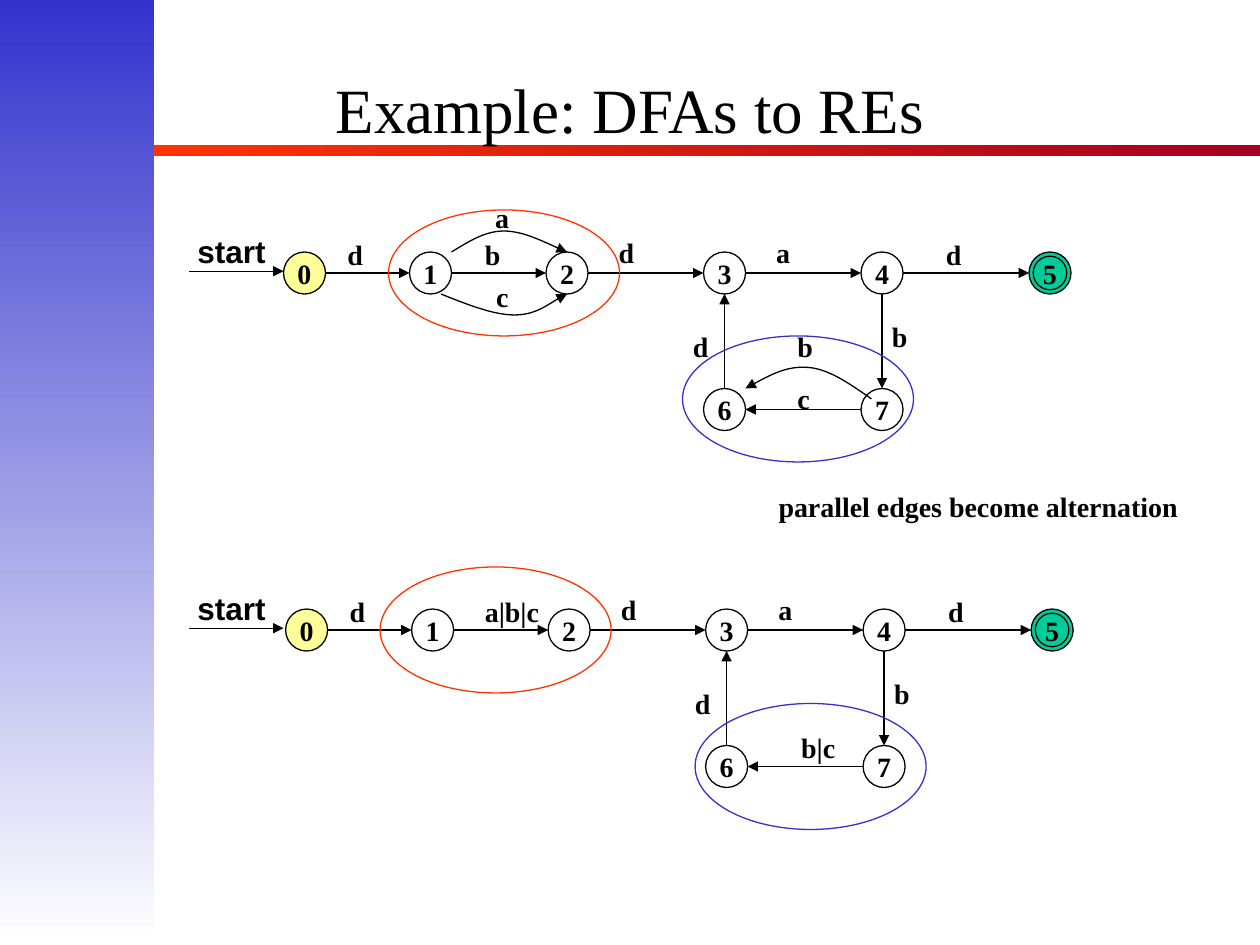
from math import hypot

from lxml.etree import SubElement
from pptx import Presentation
from pptx.dml.color import RGBColor
from pptx.enum.shapes import MSO_CONNECTOR as Connector, MSO_SHAPE as Preset
from pptx.enum.text import MSO_ANCHOR as Anchor, MSO_AUTO_SIZE as AutoSize, PP_ALIGN as Align
from pptx.oxml.ns import qn
from pptx.util import Pt

BLACK = RGBColor(0x00, 0x00, 0x00)
WHITE = RGBColor(0xFF, 0xFF, 0xFF)
RED = RGBColor(0xFF, 0x33, 0x00)
DARK_RED = RGBColor(0xA5, 0x00, 0x21)
BLUE = RGBColor(0x33, 0x33, 0xCC)
YELLOW = RGBColor(0xFF, 0xFF, 0x99)
GREEN = RGBColor(0x00, 0xCC, 0x99)

SERIF = "Times New Roman"
RADIUS = 12
RING_RADIUS = 9.6
STATES = {
    "0": (174, 156), "1": (246, 156), "2": (324, 156), "3": (414, 156),
    "4": (504, 156), "5": (600, 156), "6": (414, 234), "7": (504, 234),
}
STATE_FILLS = {"0": YELLOW, "5": GREEN}
EDGES = ["01", "12", "23", "34", "45", "63", "47", "76"]
EDGE_LABELS = [
    ("d", 191.5, 132), ("d", 346.5, 131), ("a", 436.5, 131),
    ("d", 533.5, 132), ("d", 388.8, 185), ("b", 502.6, 178.8),
]
PARALLEL_LABELS = [
    ("a", 275.8, 111), ("b", 270, 132), ("c", 276.5, 156.2),
    ("b", 448.6, 185), ("c", 448.6, 214.6),
]
MERGED_LABELS = [("a|b|c", 270, 336.2), ("b|c", 450.7, 414)]
LABEL_WIDTHS = {
    "a": 22.4, "b": 23.3, "c": 21.5, "d": 23.3, "a|b|c": 45.4, "b|c": 34,
    "start": 53.3, "parallel edges become alternation": 242.6,
}
PARALLEL_CURVES = [
    [(258, 144), (268, 138), (277, 132), (288, 132), (299, 132), (318, 141.6), (324, 144)],
    [(252, 168), (267, 174), (282, 180), (294, 180), (306, 180), (319, 170), (324, 168)],
    [(498, 228), (486, 219.6), (474, 211), (462, 210), (450, 209), (438, 215.3), (426, 222)],
]


def add_band(slide, left, top, width, height, colors, angle):
    band = slide.shapes.add_shape(Preset.RECTANGLE, Pt(left), Pt(top), Pt(width), Pt(height))
    band.shadow.inherit = False
    band.line.fill.background()
    band.fill.gradient()
    band.fill.gradient_angle = angle
    for stop, position, color in zip(band.fill.gradient_stops, (0, 1), colors):
        stop.position = position
        stop.color.rgb = color


def format_title(slide, text):
    title = slide.shapes.title
    title.left, title.top, title.width, title.height = Pt(54), Pt(21), Pt(612), Pt(90)
    frame = title.text_frame
    frame.text = text
    frame.auto_size = AutoSize.NONE
    frame.vertical_anchor = Anchor.MIDDLE
    paragraph = frame.paragraphs[0]
    paragraph.alignment = Align.CENTER
    paragraph.line_spacing = 0.8
    set_font(paragraph, 36, SERIF, False)
    title.element.getparent().append(title.element)


def set_font(paragraph, size, name, bold):
    font = paragraph.font
    font.size, font.name, font.bold = Pt(size), name, bold
    font.color.rgb = BLACK


def set_line(shape, color):
    shape.line.color.rgb = color
    shape.line.width = Pt(0.75)


def add_arrowhead(shape):
    line = shape.element.spPr.find(qn("a:ln"))
    SubElement(line, qn("a:tailEnd"), type="triangle")


def add_ellipse(slide, center, radius_x, radius_y, color=BLACK):
    x, y = center
    ellipse = slide.shapes.add_shape(
        Preset.OVAL, Pt(x - radius_x), Pt(y - radius_y), Pt(2 * radius_x), Pt(2 * radius_y))
    ellipse.shadow.inherit = False
    ellipse.fill.background()
    set_line(ellipse, color)
    return ellipse


def add_state(slide, name, center):
    state = add_ellipse(slide, center, RADIUS, RADIUS)
    if name in STATE_FILLS:
        state.fill.solid()
        state.fill.fore_color.rgb = STATE_FILLS[name]
    frame = state.text_frame
    frame.text = name
    frame.word_wrap = False
    frame.vertical_anchor = Anchor.MIDDLE
    paragraph = frame.paragraphs[0]
    paragraph.alignment = Align.CENTER
    set_font(paragraph, 16, SERIF, True)


def add_arrow(slide, start, end):
    arrow = slide.shapes.add_connector(
        Connector.STRAIGHT, *(Pt(value) for value in (*start, *end)))
    set_line(arrow, BLACK)
    add_arrowhead(arrow)
    SubElement(arrow.element.spPr, qn("a:effectLst"))


def add_edge(slide, source, target):
    (x1, y1), (x2, y2) = source, target
    share = RADIUS / hypot(x2 - x1, y2 - y1)
    dx, dy = (x2 - x1) * share, (y2 - y1) * share
    add_arrow(slide, (x1 + dx, y1 + dy), (x2 - dx, y2 - dy))


def add_curve(slide, points):
    start, *others = [(Pt(x), Pt(y)) for x, y in points]
    builder = slide.shapes.build_freeform(*start)
    builder.add_line_segments(others, close=False)
    curve = builder.convert_to_shape()
    curve.shadow.inherit = False
    curve.fill.background()
    set_line(curve, BLACK)
    add_arrowhead(curve)
    path = next(curve.element.iter(qn("a:path")))
    segments = path.findall(qn("a:lnTo"))
    for first in range(0, len(segments), 3):
        bezier = SubElement(path, qn("a:cubicBezTo"))
        for segment in segments[first:first + 3]:
            bezier.append(segment[0])
            path.remove(segment)


def add_label(slide, text, left, top, size=16, font_name=SERIF):
    label = slide.shapes.add_textbox(Pt(left), Pt(top), Pt(LABEL_WIDTHS[text]), Pt(1.65 * size))
    frame = label.text_frame
    frame.text = text
    frame.word_wrap = False
    frame.auto_size = AutoSize.SHAPE_TO_FIT_TEXT
    set_font(frame.paragraphs[0], size, font_name, True)


def add_automaton(slide, dx, dy):
    states = {name: (x + dx, y + dy) for name, (x, y) in STATES.items()}
    for name, center in states.items():
        add_state(slide, name, center)
    add_ellipse(slide, states["5"], RING_RADIUS, RING_RADIUS)
    for source, target in EDGES:
        add_edge(slide, states[source], states[target])
    for text, left, top in EDGE_LABELS:
        add_label(slide, text, left + dx, top + dy)
    add_arrow(slide, (108, 155 + dy), (162, 155 + dy))
    add_label(slide, "start", 105.8, 129 + dy, 18, "Arial")


def main():
    presentation = Presentation()
    presentation.slide_width, presentation.slide_height = Pt(720), Pt(540)
    slide = presentation.slides.add_slide(presentation.slide_layouts[5])
    add_band(slide, 86.4, 83, 633.6, 6.2, (RED, DARK_RED), 0)
    add_band(slide, 0, 0, 88, 540, (BLUE, WHITE), 270)
    format_title(slide, "Example: DFAs to REs")

    add_automaton(slide, 0, 0)
    add_automaton(slide, 1.2, 204)
    for curve in PARALLEL_CURVES:
        add_curve(slide, curve)
    for label in PARALLEL_LABELS + MERGED_LABELS:
        add_label(slide, *label)
    for center, color in [((288, 156), RED), ((283.2, 360), RED),
                          ((456, 228), BLUE), ((463.2, 438), BLUE)]:
        add_ellipse(slide, center, 66, 36, color)
    add_label(slide, "parallel edges become alternation", 437.8, 276)
    presentation.save("out.pptx")


if __name__ == "__main__":
    main()
